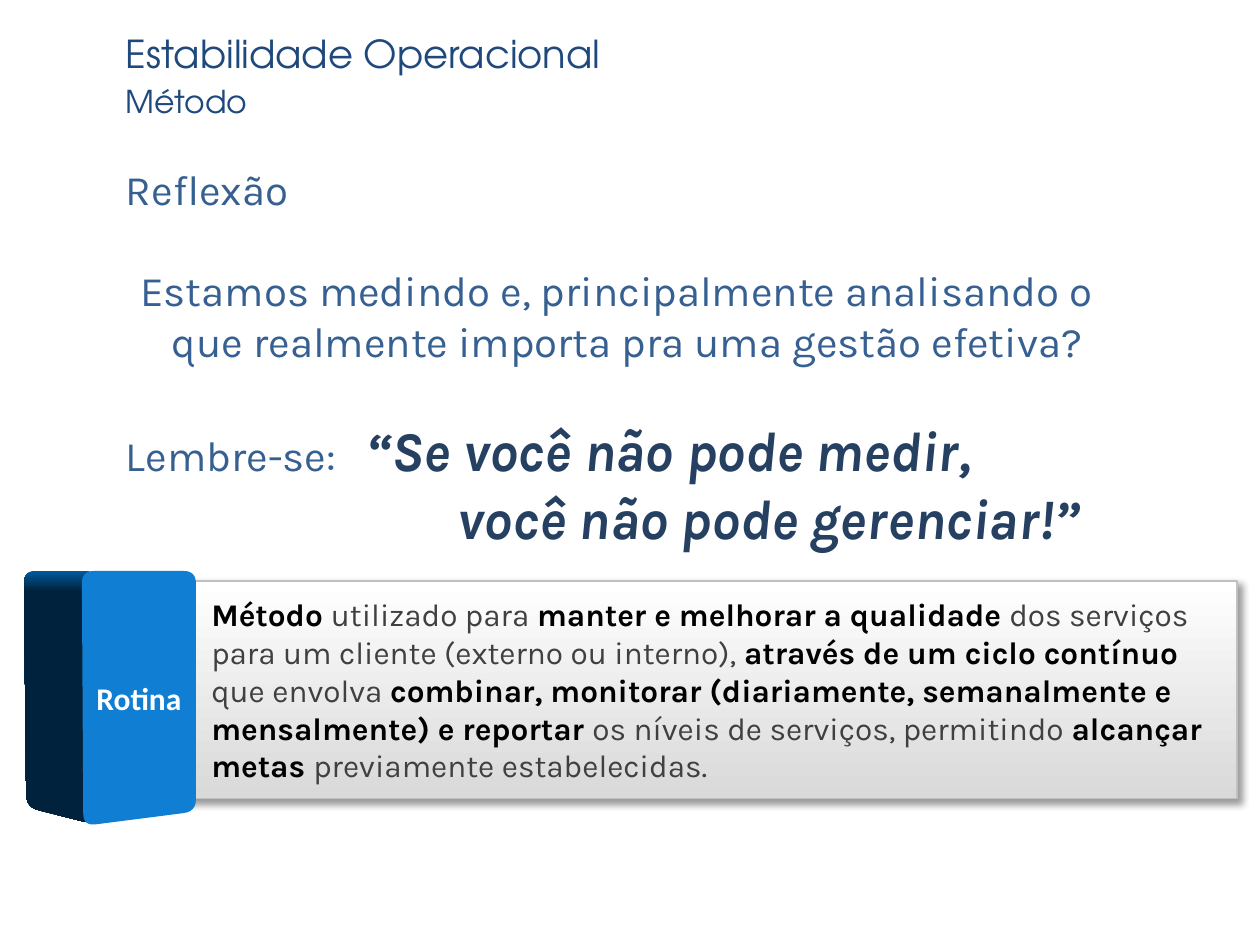
from dataclasses import dataclass

from lxml.etree import SubElement
from pptx import Presentation
from pptx.dml.color import RGBColor as RGB
from pptx.enum.shapes import MSO_SHAPE as SHAPE
from pptx.enum.text import MSO_ANCHOR as ANCHOR, MSO_AUTO_SIZE as AUTO, PP_ALIGN as ALIGN
from pptx.oxml.ns import qn
from pptx.util import Cm, Pt


@dataclass(frozen=True)
class Theme:
    title_font: str = "TeX Gyre Adventor"
    body_font: str = "Karla"
    label_font: str = "Calibri"
    title: str = "1F497D"
    body: str = "376092"
    quote: str = "254061"
    strong: str = "000000"
    soft: str = "404040"
    white: str = "FFFFFF"
    panel_end: str = "D9D9D9"
    panel_line: str = "C0C0C0"
    front: str = "107FD3"
    side: str = "00223C"
    side_top: str = "005A9E"
    title_size: int = 22
    body_size: int = 24
    quote_size: int = 32
    small_size: int = 18


T = Theme()


def add_run(p, text, font, size, color, bold=False, italic=False):
    r = p.add_run()
    r.text = text
    f = r.font
    f.name, f.size, f.bold, f.italic = font, Pt(size), bold, italic
    f.color.rgb = RGB.from_string(color)


def add_text_box(s, left, top, width, height):
    tf = s.shapes.add_textbox(Cm(left), Cm(top), Cm(width), Cm(height)).text_frame
    tf.word_wrap = True
    return tf


def fill_gradient(sp, start, end, end_at=1.0):
    """Vertical gradient from start (top) to end."""
    sp.fill.gradient()
    sp.fill.gradient_angle = 270
    for stop, color, at in zip(sp.fill.gradient_stops, (start, end), (0, end_at)):
        stop.color.rgb = RGB.from_string(color)
        stop.position = at


def add_shadow(sp, color, alpha, blur, dist, angle):
    effects = sp._element.spPr.find(qn("a:effectLst"))
    shadow = SubElement(effects, qn("a:outerShdw"), blurRad=str(Pt(blur)),
                        dist=str(Pt(dist)), dir=str(angle * 60000), algn="tl", rotWithShape="0")
    clr = SubElement(shadow, qn("a:srgbClr"), val=color)
    SubElement(clr, qn("a:alpha"), val=str(alpha * 1000))


def round_corners(corners, radius, steps=6):
    """Replace each corner of a polygon by a short curve."""
    points = []
    for i, (x, y) in enumerate(corners):
        ends = []
        for nx, ny in (corners[i - 1], corners[(i + 1) % len(corners)]):
            k = radius / ((nx - x) ** 2 + (ny - y) ** 2) ** 0.5
            ends.append((x + (nx - x) * k, y + (ny - y) * k))
        (ax, ay), (bx, by) = ends
        for t in (n / steps for n in range(steps + 1)):
            a, c, b = (1 - t) ** 2, 2 * t * (1 - t), t ** 2
            points.append((a * ax + c * x + b * bx, a * ay + c * y + b * by))
    return points


def add_face(s, corners, radius=0.25):
    points = [(Cm(x), Cm(y)) for x, y in round_corners(corners, radius)]
    builder = s.shapes.build_freeform(*points[0])
    builder.add_line_segments(points[1:], close=True)
    sp = builder.convert_to_shape()
    sp.shadow.inherit = False
    sp.line.fill.background()
    return sp


def add_heading(s):
    tf = add_text_box(s, 2.29, 0.48, 16.15, 1.42)
    p = tf.paragraphs[0]
    add_run(p, "Estabilidade Operacional", T.title_font, T.title_size, T.title)
    p = tf.add_paragraph()
    p.space_before = Pt(0.2 * T.small_size)
    add_run(p, "Método", T.title_font, T.small_size, T.title)


def add_reflection(s):
    tf = add_text_box(s, 2.29, 3.18, 19.99, 8.13)
    tf.auto_size = AUTO.SHAPE_TO_FIT_TEXT
    gap = Pt(1.2 * T.body_size)
    body = (T.body_font, T.body_size, T.body)
    quote = (T.body_font, T.quote_size, T.quote, True, True)

    add_run(tf.paragraphs[0], "Reflexão", *body)

    p = tf.add_paragraph()
    p.alignment, p.space_before = ALIGN.RIGHT, gap
    add_run(p, "Estamos medindo e, principalmente analisando o que realmente "
               "importa pra uma gestão efetiva? ", *body)

    # The tab sets the quotation apart from its lead-in
    p = tf.add_paragraph()
    tabs = SubElement(p._p.get_or_add_pPr(), qn("a:tabLst"))
    SubElement(tabs, qn("a:tab"), pos=str(Cm(4.85)), algn="l")
    p.space_before = gap
    add_run(p, "Lembre-se:\t", *body)
    add_run(p, "“Se você não pode medir,", *quote)

    p = tf.add_paragraph()
    p.alignment = ALIGN.RIGHT
    add_run(p, "você não pode gerenciar!” ", *quote)


def add_panel(s):
    sp = s.shapes.add_shape(SHAPE.RECTANGLE, Cm(3.45), Cm(11.71), Cm(21.49), Cm(4.39))
    fill_gradient(sp, T.white, T.panel_end)
    sp.line.color.rgb = RGB.from_string(T.panel_line)
    sp.line.width = Pt(1)
    sp.shadow.inherit = False
    add_shadow(sp, T.strong, alpha=40, blur=4, dist=3, angle=45)

    tf = sp.text_frame
    tf.word_wrap, tf.vertical_anchor = True, ANCHOR.MIDDLE
    tf.margin_left = tf.margin_right = Cm(0.61)
    tf.margin_top = tf.margin_bottom = Cm(0.1)
    p = tf.paragraphs[0]
    p.alignment = ALIGN.LEFT
    p._p.get_or_add_pPr().set("marL", str(Cm(0.2)))

    # Strong and soft phrases alternate
    phrases = (
        "Método ", "utilizado para ",
        "manter e melhorar a qualidade ",
        "dos serviços para um cliente (externo ou interno), ",
        "através de um ciclo contínuo ", "que envolva ",
        "combinar, monitorar (diariamente, semanalmente e mensalmente) e reportar ",
        "os níveis de serviços, permitindo ",
        "alcançar metas ", "previamente estabelecidas.",
    )
    for i, phrase in enumerate(phrases):
        strong = i % 2 == 0
        add_run(p, phrase, T.body_font, T.small_size, T.strong if strong else T.soft, strong)


def add_routine_block(s):
    side = add_face(s, [(0.48, 11.51), (1.95, 11.51), (1.95, 16.63), (0.53, 16.27)])
    fill_gradient(side, T.side_top, T.side, end_at=0.08)

    front = add_face(s, [(1.65, 11.51), (3.95, 11.51), (3.95, 16.36), (1.68, 16.65)])
    front.fill.solid()
    front.fill.fore_color.rgb = RGB.from_string(T.front)
    tf = front.text_frame
    tf.word_wrap, tf.vertical_anchor = True, ANCHOR.MIDDLE
    tf.margin_left = tf.margin_right = 0
    p = tf.paragraphs[0]
    p.alignment = ALIGN.CENTER
    add_run(p, "Rotina", T.label_font, T.small_size, T.white, True)


def main():
    prs = Presentation()
    prs.slide_width, prs.slide_height = Cm(25.4), Cm(19.05)
    s = prs.slides.add_slide(prs.slide_layouts[6])
    add_heading(s)
    add_panel(s)
    add_routine_block(s)
    add_reflection(s)
    prs.save("out.pptx")


if __name__ == "__main__":
    main()
